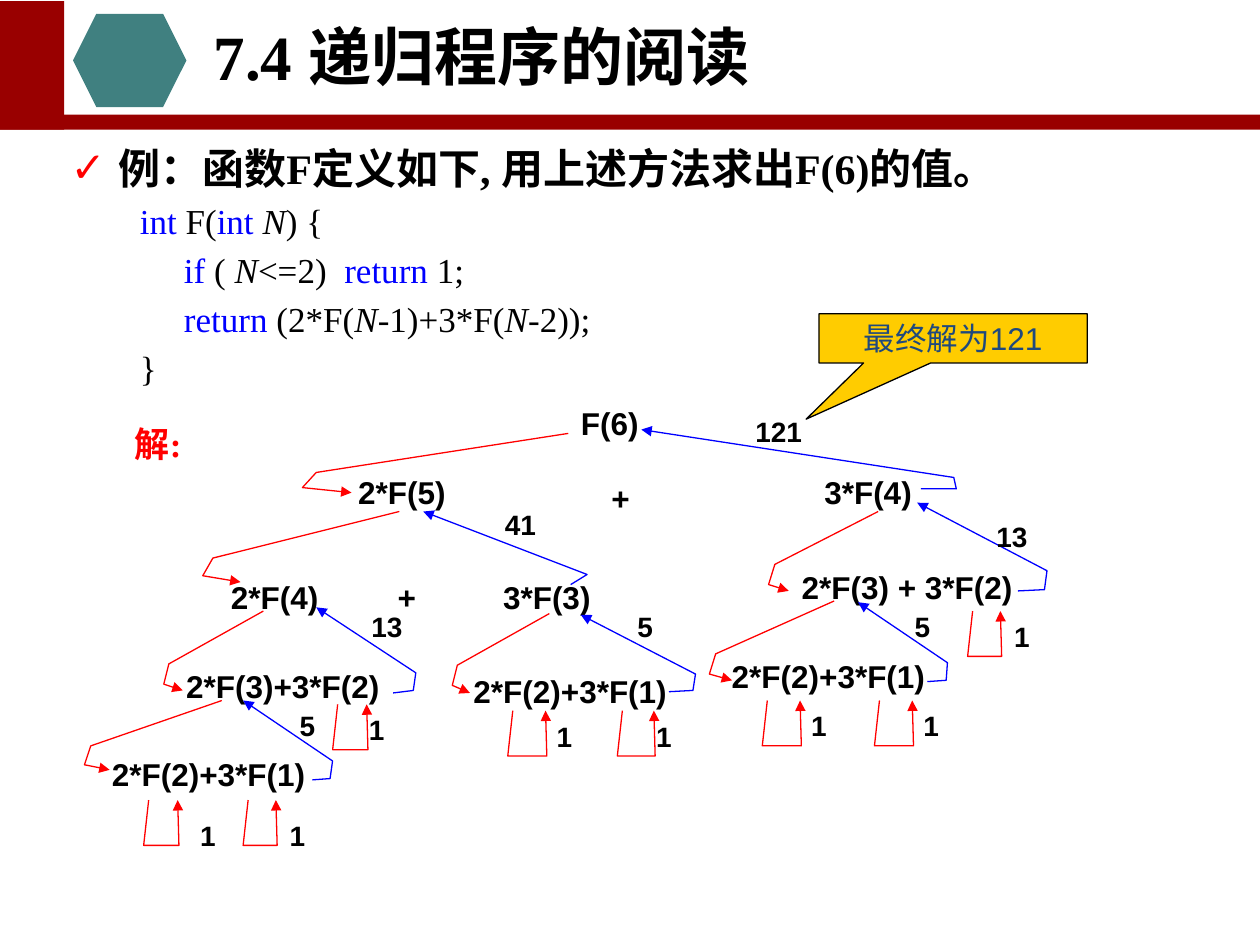
from lxml.etree import SubElement
from pptx import Presentation
from pptx.dml.color import RGBColor
from pptx.enum.shapes import MSO_SHAPE as SHAPE
from pptx.enum.text import MSO_ANCHOR as ANCHOR, MSO_AUTO_SIZE as AUTO, PP_ALIGN as ALIGN
from pptx.oxml.ns import qn
from pptx.util import Inches, Pt

SERIF, SANS = "Times New Roman", "Arial"
BLACK, RED, BLUE = "000000", "FF0000", "0000FF"
MAROON, TEAL, GOLD, NAVY = "990000", "408080", "FFCC00", "1F497D"

# Expressions: text, left, top, width, height
NODES = [
    ("F(6)", 4.37, 3.2, 0.94, 0.32),
    ("2*F(5)", 2.64, 3.75, 1.1, 0.31),
    ("+", 4.69, 3.83, 0.47, 0.24),
    ("3*F(4)", 6.26, 3.75, 1.26, 0.31),
    ("2*F(4)", 1.68, 4.54, 1, 0.39),
    ("+", 3.03, 4.54, 0.4, 0.39),
    ("3*F(3)", 3.84, 4.54, 1, 0.39),
    ("2*F(3) + 3*F(2)", 6.1, 4.46, 2.2, 0.39),
    ("2*F(3)+3*F(2)", 1.3, 5.25, 1.89, 0.39),
    ("2*F(2)+3*F(1)", 3.58, 5.25, 1.89, 0.47),
    ("2*F(2)+3*F(1)", 5.71, 5.17, 1.73, 0.39),
    ("2*F(2)+3*F(1)", 0.83, 5.95, 1.65, 0.39),
]
# Returned values: text, left, top
VALUES = [
    ("121", 5.92, 3.3), ("41", 3.94, 4.04), ("13", 7.84, 4.14), ("13", 2.88, 4.85),
    ("5", 5, 4.85), ("5", 7.2, 4.85), ("5", 2.32, 5.64), ("1", 7.99, 4.93),
    ("1", 2.87, 5.67), ("1", 4.36, 5.72), ("1", 5.15, 5.72), ("1", 6.38, 5.64),
    ("1", 7.27, 5.64), ("1", 1.53, 6.51), ("1", 2.24, 6.51),
]
CALLS = [
    [(4.51, 3.44), (2.51, 3.75), (2.4, 3.87), (2.79, 3.91)],
    [(3.17, 4.06), (1.69, 4.43), (1.61, 4.57), (1.91, 4.62)],
    [(6.97, 4.06), (6.15, 4.48), (6.1, 4.64), (6.26, 4.69)],
    [(2.09, 4.85), (1.34, 5.27), (1.3, 5.43), (1.45, 5.48)],
    [(4.36, 4.87), (3.63, 5.28), (3.59, 5.44), (3.73, 5.5)],
    [(6.62, 4.77), (5.68, 5.19), (5.63, 5.35), (5.81, 5.4)],
    [(1.76, 5.56), (0.72, 5.92), (0.67, 6.07), (0.87, 6.11)],
]
RETURNS = [
    [(7.31, 3.88), (7.59, 3.88), (7.57, 3.79), (5.09, 3.41)],
    [(4.53, 4.64), (4.66, 4.56), (3.36, 4.06)],
    [(8.08, 4.69), (8.29, 4.68), (8.31, 4.53), (7.28, 3.99)],
    [(3.12, 5.5), (3.28, 5.48), (3.3, 5.34), (2.51, 4.82)],
    [(5.31, 5.49), (5.5, 5.48), (5.52, 5.35), (4.61, 4.88)],
    [(7.36, 5.41), (7.51, 5.4), (7.52, 5.26), (6.81, 4.78)],
    [(2.48, 6.19), (2.62, 6.18), (2.64, 6.04), (1.93, 5.56)],
]
# Base cases: left, top, width
LOOPS = [
    (7.68, 4.85, 0.27), (2.64, 5.59, 0.28), (4.03, 5.64, 0.31), (4.9, 5.64, 0.3),
    (6.05, 5.56, 0.31), (6.94, 5.56, 0.31), (1.14, 6.35, 0.28), (1.93, 6.35, 0.27),
]
# Code lines: left margin and runs of (text, colour, italic)
CODE = [
    (0.55, [("int", BLUE, False), (" F(", BLACK, False), ("int ", BLUE, False),
            ("N", BLACK, True), (") {", BLACK, False)]),
    (0.9, [("if ", BLUE, False), ("( ", BLACK, False), ("N", BLACK, True),
           ("<=2)  ", BLACK, False), ("return", BLUE, False), (" 1;", BLACK, False)]),
    (0.9, [("return", BLUE, False), (" (2*F(", BLACK, False), ("N", BLACK, True),
           ("-1)+3*F(", BLACK, False), ("N", BLACK, True), ("-2));", BLACK, False)]),
    (0.55, [("}", BLACK, False)]),
]


def rgb(value):
    return RGBColor.from_string(value)


def place(sp, *box):
    sp.left, sp.top, sp.width, sp.height = map(Inches, box)


def add_run(p, text, size, font, color=BLACK, bold=False, italic=False):
    r = p.add_run()
    r.text = text
    f = r.font
    f.size, f.name, f.bold, f.italic = Pt(size), font, bold, italic
    f.color.rgb = rgb(color)


def add_filled(slide, kind, box, fill):
    sp = slide.shapes.add_shape(kind, *map(Inches, box))
    sp.shadow.inherit = False
    sp.fill.solid()
    sp.fill.fore_color.rgb = rgb(fill)
    sp.line.fill.background()
    return sp


def add_header(slide, title):
    add_filled(slide, SHAPE.RECTANGLE, (0, 0.01, 0.51, 1.02), MAROON)
    add_filled(slide, SHAPE.RECTANGLE, (0, 0.91, 10, 0.12), MAROON)
    add_filled(slide, SHAPE.HEXAGON, (0.58, 0.11, 0.9, 0.74), TEAL)
    sp = slide.shapes.title
    place(sp, -0.18, 0.09, 8, 0.71)
    tf = sp.text_frame
    tf.auto_size, tf.vertical_anchor = AUTO.NONE, ANCHOR.TOP
    p = tf.paragraphs[0]
    p.alignment = ALIGN.CENTER
    add_run(p, title, 36, SERIF, bold=True)


def format_paragraph(p, margin, before, mark=None):
    """Set the margin and space before; a mark makes a hanging red bullet."""
    p.space_before = Pt(before)
    pPr = p._p.get_or_add_pPr()
    pPr.set("marL", str(Inches(margin)))
    pPr.set("indent", str(-Inches(margin) if mark else 0))
    if mark:
        SubElement(SubElement(pPr, qn("a:buClr")), qn("a:srgbClr"), val=RED)
        SubElement(pPr, qn("a:buChar"), char=mark)
    else:
        SubElement(pPr, qn("a:buNone"))


def add_problem(slide, box):
    sp = slide.placeholders[1]
    place(sp, *box)
    tf = sp.text_frame
    tf.auto_size = AUTO.NONE
    p = tf.paragraphs[0]
    format_paragraph(p, 0.38, 5, "✓")
    add_run(p, "例：函数F定义如下, 用上述方法求出F(6)的值。", 24, SERIF, bold=True)
    for margin, runs in CODE:
        p = tf.add_paragraph()
        format_paragraph(p, margin, 4)
        for text, color, italic in runs:
            add_run(p, text, 20, SERIF, color, italic=italic)
    p = tf.add_paragraph()
    format_paragraph(p, 0.51, 19)
    add_run(p, "解:", 20, SERIF, RED, bold=True)


def add_label(slide, text, box, size):
    tf = slide.shapes.add_textbox(*map(Inches, box)).text_frame
    tf.margin_left = tf.margin_right = tf.margin_top = tf.margin_bottom = 0
    tf.word_wrap, tf.vertical_anchor = False, ANCHOR.MIDDLE
    p = tf.paragraphs[0]
    p.alignment = ALIGN.CENTER
    add_run(p, text, size, SANS, bold=True)


def add_arrow(slide, points, color):
    start, *rest = [(Inches(x), Inches(y)) for x, y in points]
    builder = slide.shapes.build_freeform(*start)
    builder.add_line_segments(rest, close=False)
    sp = builder.convert_to_shape()
    sp.shadow.inherit = False
    sp.fill.background()
    sp.line.color.rgb = rgb(color)
    sp.line.width = Pt(0.75)
    SubElement(sp.line._get_or_add_ln(), qn("a:tailEnd"), type="triangle")


def add_tree(slide):
    for text, *box in NODES:
        add_label(slide, text, box, 18)
    for points in CALLS:
        add_arrow(slide, points, RED)
    for points in RETURNS:
        add_arrow(slide, points, BLUE)
    for x, y, w in LOOPS:
        add_arrow(slide, [(x + 0.04, y), (x, y + 0.36), (x + w, y + 0.36),
                          (x + w - 0.01, y)], RED)
    for text, x, y in VALUES:
        add_label(slide, text, (x, y, 0.1 + 0.14 * len(text), 0.24), 16)


def add_answer(slide, box):
    sp = add_filled(slide, SHAPE.RECTANGULAR_CALLOUT, box, GOLD)
    sp.adjustments[0], sp.adjustments[1] = -0.548, 1.645
    sp.line.color.rgb = rgb(BLACK)
    sp.line.width = Pt(0.75)
    p = sp.text_frame.paragraphs[0]
    p.alignment = ALIGN.CENTER
    add_run(p, "最终解为121", 18, SANS, NAVY)


def main():
    prs = Presentation()
    prs.slide_width, prs.slide_height = Inches(10), Inches(7.5)
    slide = prs.slides.add_slide(prs.slide_layouts[1])
    add_header(slide, "7.4 递归程序的阅读")
    add_problem(slide, (0.46, 1.08, 9, 5.12))
    add_tree(slide)
    add_answer(slide, (6.5, 2.49, 2.13, 0.39))
    prs.save("out.pptx")


if __name__ == "__main__":
    main()
